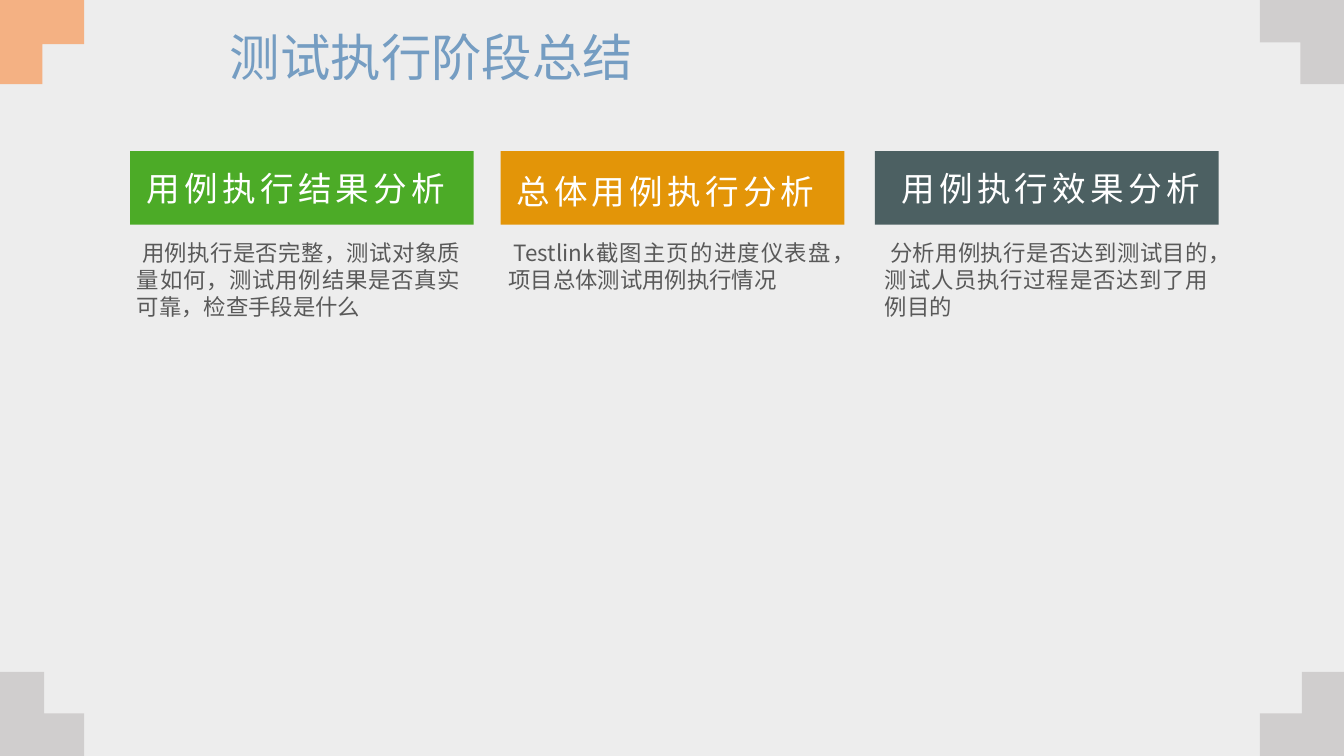
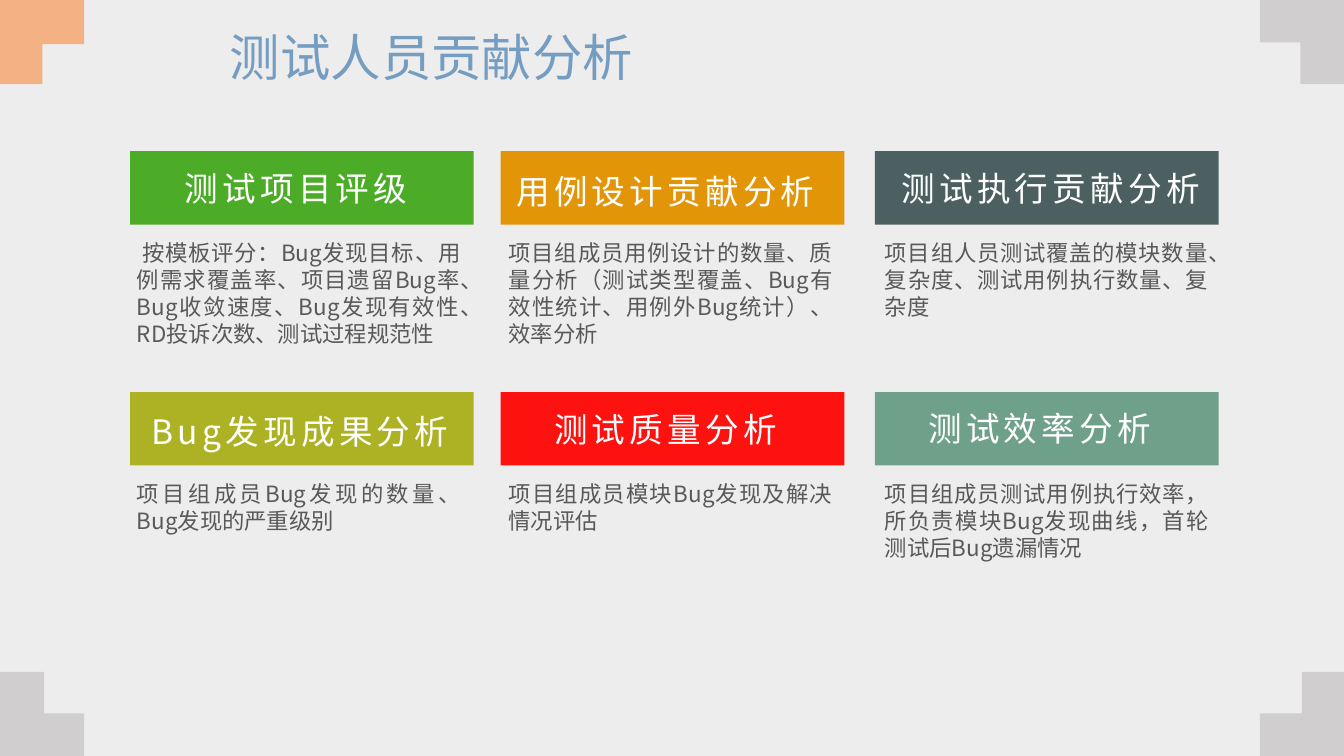
from pptx import Presentation
from pptx import util as u
from pptx.dml.color import RGBColor
from pptx.enum import shapes, text
from pptx.oxml import parse_xml
from pptx.oxml.ns import nsdecls

Cm = u.Cm
FONT = "Noto Sans CJK SC"
COLORS = {
    "background": "EDEDED", "title": "759DC2", "heading": "FFFFFF", "body": "595959",
    "grey": "D0CECE", "peach": "F4B183",
    "green": "4CAB27", "orange": "E39508", "slate": "4C6062",
    "olive": "ADB225", "red": "FD1210", "sage": "6EA08A",
}

# Grid of cards, in centimetres
SLIDE_W, SLIDE_H = 33.87, 19.05
BAND_LEFTS, BODY_LEFTS = (3.28, 12.62, 22.05), (3.2, 12.57, 22.05)
CARD_W, BAND_H = 8.66, 1.85
FIRST_TOP, ROW_PITCH, BODY_DROP = 3.81, 6.07, 2.1
BAND_COLORS = ("green", "orange", "slate", "olive", "red", "sage")

# Each card: heading, its shift right and down, body, first-line indent
SLIDES = [
    ("测试执行阶段总结", [
        ("用例执行结果分析", -0.15, 0,
         "用例执行是否完整，测试对象质量如何，测试用例结果是否真实可靠，检查手段是什么", 0.13),
        ("总体用例执行分析", -0.18, 0.08,
         "Testlink截图主页的进度仪表盘，项目总体测试用例执行情况", 0.13),
        ("用例执行效果分析", 0.1, 0,
         "分析用例执行是否达到测试目的，测试人员执行过程是否达到了用例目的", 0.13),
    ]),
    ("测试人员贡献分析", [
        ("测试项目评级", -0.15, 0,
         "按模板评分：Bug发现目标、用例需求覆盖率、项目遗留Bug率、Bug收敛速度、"
         "Bug发现有效性、RD投诉次数、测试过程规范性", 0.13),
        ("用例设计贡献分析", -0.18, 0.08,
         "项目组成员用例设计的数量、质量分析（测试类型覆盖、Bug有效性统计、"
         "用例外Bug统计）、效率分析", 0),
        ("测试执行贡献分析", 0.1, 0,
         "项目组人员测试覆盖的模块数量、复杂度、测试用例执行数量、复杂度", 0),
        ("Bug发现成果分析", -0.05, 0.05,
         "项目组成员Bug发现的数量、Bug发现的严重级别", 0),
        ("测试质量分析", -0.18, 0,
         "项目组成员模块Bug发现及解决情况评估", 0),
        ("测试效率分析", -0.18, -0.03,
         "项目组成员测试用例执行效率，所负责模块Bug发现曲线，首轮测试后Bug遗漏情况", 0),
    ]),
]


def write(frame, words, size, color, align, spacing=0):
    frame.text = words
    paragraph = frame.paragraphs[0]
    paragraph.alignment = align
    run = paragraph.runs[0]
    run.font.size = u.Pt(size)
    run.font.name = FONT
    run.font.color.rgb = RGBColor.from_string(COLORS[color])
    properties = run.font._element
    properties.append(parse_xml(f'<a:ea {nsdecls("a")} typeface="{FONT}"/>'))
    if spacing:
        properties.set("spc", str(spacing * 100))
    return paragraph


def paint(shape, color):
    shape.shadow.inherit = False
    shape.fill.solid()
    shape.fill.fore_color.rgb = RGBColor.from_string(COLORS[color])
    shape.line.fill.background()


prs = Presentation()
prs.slide_width, prs.slide_height = Cm(SLIDE_W), Cm(SLIDE_H)

# Shared layout: background and title place
layout = prs.slide_layouts[5]
layout.background.fill.solid()
layout.background.fill.fore_color.rgb = RGBColor.from_string(COLORS["background"])
title_place = layout.placeholders[0]
title_place.left, title_place.top = Cm(5.54), Cm(0.71)
title_place.width, title_place.height = Cm(22.81), Cm(1.7)

pages = [prs.slides.add_slide(layout) for _ in SLIDES]

# Shared corners: drawn once, then moved behind everything on the layout
REACH = 2.12
CORNERS = [  # corner, inward direction, widths of the upright and the level arm
    (0, SLIDE_H, 1, -1, 1.11, 1.07, "grey"),
    (0, 0, 1, 1, 1.07, 1.11, "peach"),
    (SLIDE_W, 0, -1, 1, 1.1, 1.07, "grey"),
    (SLIDE_W, SLIDE_H, -1, -1, 1.06, 1.07, "grey"),
]
for order, (x, y, dx, dy, upright, level, color) in enumerate(CORNERS):
    outline = [(0, 0), (REACH, 0), (REACH, level), (upright, level), (upright, REACH), (0, REACH)]
    points = [(Cm(x + dx * across), Cm(y + dy * down)) for across, down in outline]
    builder = pages[0].shapes.build_freeform(*points[0])
    builder.add_line_segments(points[1:], close=True)
    corner = builder.convert_to_shape()
    paint(corner, color)
    layout.shapes.element.insert(2 + order, corner.element)

for page, (title, cards) in zip(pages, SLIDES):
    # Title
    title_frame = page.shapes.title.text_frame
    title_frame.vertical_anchor = text.MSO_ANCHOR.TOP
    title_frame.auto_size = text.MSO_AUTO_SIZE.NONE
    heading_line = write(title_frame, title, 36, "title", text.PP_ALIGN.LEFT)
    heading_line.line_spacing = 0.9

    # Cards
    for index, (heading, shift, drop, body, indent) in enumerate(cards):
        row, column = divmod(index, len(BAND_LEFTS))
        top = FIRST_TOP + row * ROW_PITCH

        band = page.shapes.add_shape(shapes.MSO_SHAPE.RECTANGLE, Cm(BAND_LEFTS[column]),
                                     Cm(top), Cm(CARD_W), Cm(BAND_H))
        paint(band, BAND_COLORS[index])
        band_frame = band.text_frame
        band_frame.vertical_anchor = text.MSO_ANCHOR.MIDDLE
        band_frame.margin_left, band_frame.margin_right = Cm(0.25 + shift), Cm(0.25 - shift)
        band_frame.margin_top, band_frame.margin_bottom = Cm(0.13 + drop), Cm(0.13 - drop)
        write(band_frame, heading, 24, "heading", text.PP_ALIGN.CENTER, spacing=3)

        details = page.shapes.add_textbox(Cm(BODY_LEFTS[column]), Cm(top + BODY_DROP),
                                          Cm(CARD_W), Cm(2.31)).text_frame
        details.word_wrap = True
        details.auto_size = text.MSO_AUTO_SIZE.SHAPE_TO_FIT_TEXT
        passage = write(details, body, 16, "body", text.PP_ALIGN.JUSTIFY)
        if indent:
            passage._p.get_or_add_pPr().set("indent", str(Cm(indent)))

prs.save("out.pptx")
